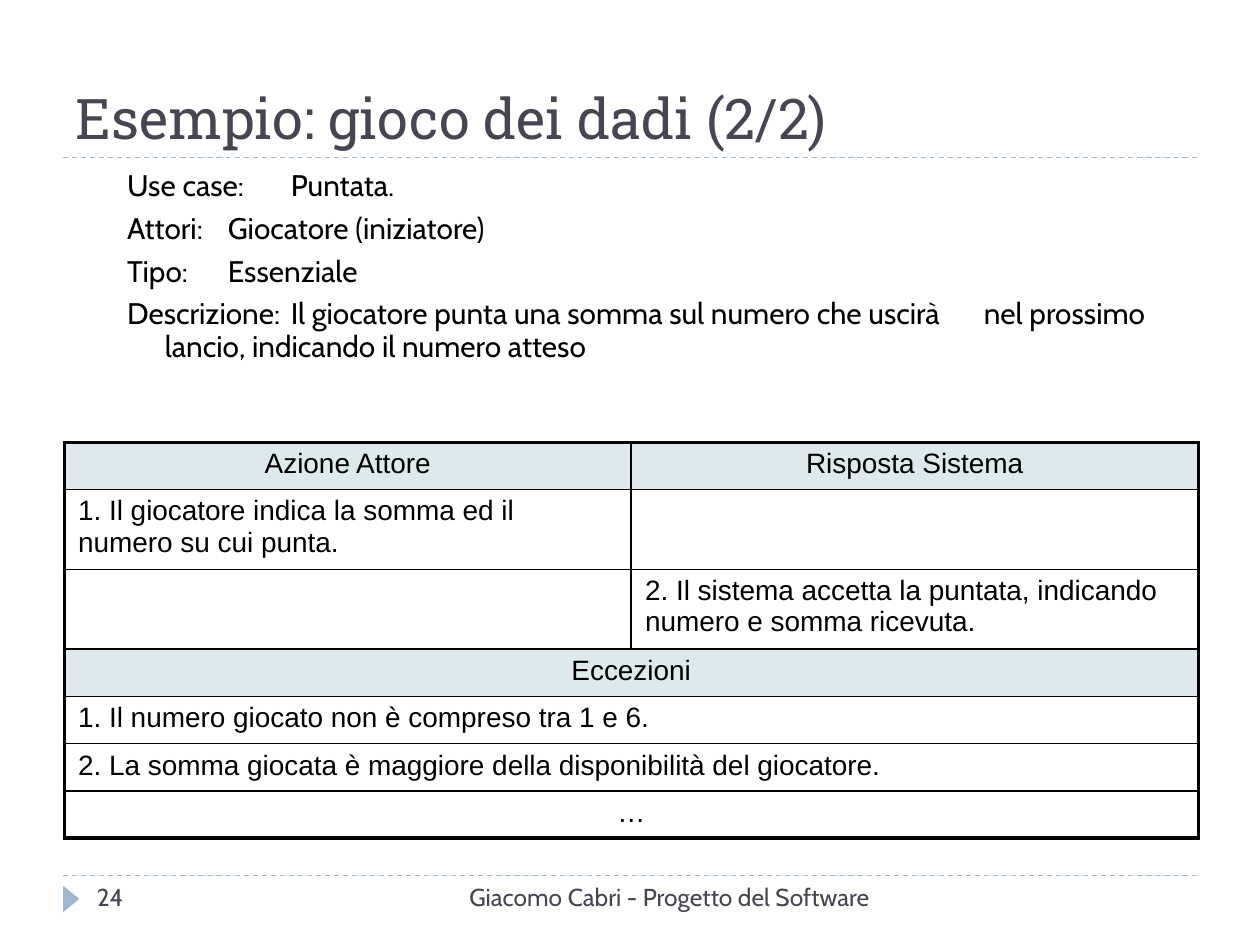
from lxml.etree import SubElement
from pptx import Presentation
from pptx.dml.color import RGBColor
from pptx.enum.dml import MSO_LINE
from pptx.enum.shapes import MSO_CONNECTOR, MSO_SHAPE
from pptx.enum.text import MSO_ANCHOR, PP_ALIGN
from pptx.oxml import parse_xml
from pptx.oxml.ns import nsdecls, qn
from pptx.util import Inches, Pt

COLORS = {"ink": "000000", "title": "464653", "accent": "9FB8CD",
          "head": "DDE9EC", "plain": "FFFFFF"}
TITLE = "Esempio: gioco dei dadi (2/2)"
FOOTER = "Giacomo Cabri - Progetto del Software"
NUMBER = "24"
DETAILS = [
    ("Use case:", "Puntata."),
    ("Attori:", "Giocatore (iniziatore)"),
    ("Tipo:", "Essenziale"),
    ("Descrizione:", "Il giocatore punta una somma sul numero che uscirà "
                     "\tnel prossimo lancio, indicando il numero atteso"),
]
# Each row: kind, height, texts; a single text spans both columns
ROWS = [
    ("head", 0.375, ["Azione Attore", "Risposta Sistema"]),
    ("plain", 0.59, ["1. Il giocatore indica la somma ed il\t numero su cui punta.", ""]),
    ("plain", 0.59, ["", "2. Il sistema accetta la puntata, indicando numero e somma ricevuta."]),
    ("head", 0.375, ["Eccezioni"]),
    ("plain", 0.375, ["1. Il numero giocato non è compreso tra 1 e 6.\t"]),
    ("plain", 0.375, ["2. La somma giocata è maggiore della disponibilità del giocatore."]),
    ("plain", 0.375, ["…"]),
]
CENTERED = {"Azione Attore", "Risposta Sistema", "Eccezioni", "…"}
COLS = 2
THICK, THIN = 2.25, 1


def color(name):
    return RGBColor.from_string(COLORS[name])


def write(para, text, size, font, ink, align=PP_ALIGN.LEFT):
    para.alignment = align
    run = para.add_run()
    run.text = text
    run.font.size = Pt(size)
    run.font.name = font
    run.font.color.rgb = color(ink)


def add_box(slide, *place):
    box = slide.shapes.add_textbox(*map(Inches, place))
    box.text_frame.word_wrap = True
    return box.text_frame


def add_rule(slide, y):
    rule = slide.shapes.add_connector(
        MSO_CONNECTOR.STRAIGHT, Inches(0.5), Inches(y), Inches(9.5), Inches(y))
    rule.line.color.rgb = color("accent")
    rule.line.width = Pt(0.75)
    rule.line.dash_style = MSO_LINE.DASH
    SubElement(rule._element.spPr, qn("a:effectLst"))


def add_borders(cell, widths):
    """Put the lines first in the cell properties, as the schema asks."""
    props = cell._tc.get_or_add_tcPr()
    for i, (side, width) in enumerate(zip("LRTB", widths)):
        props.insert(i, parse_xml(
            f'<a:ln{side} {nsdecls("a")} w="{Pt(width)}"><a:solidFill>'
            f'<a:srgbClr val="{COLORS["ink"]}"/></a:solidFill></a:ln{side}>'))


def add_steps(slide):
    height = sum(row[1] for row in ROWS)
    table = slide.shapes.add_table(
        len(ROWS), COLS, Inches(0.51), Inches(3.51), Inches(9), Inches(height)).table
    table.first_row = table.horz_banding = False
    for r, (kind, height, texts) in enumerate(ROWS):
        table.rows[r].height = Inches(height)
        whole = len(texts) == 1
        if whole:
            table.cell(r, 0).merge(table.cell(r, COLS - 1))
        for c in range(COLS):
            cell = table.cell(r, c)
            cell.fill.solid()
            cell.fill.fore_color.rgb = color(kind)
            cell.margin_left = cell.margin_right = Inches(0.11)
            edges = (whole or c == 0, whole or c == COLS - 1,
                     r == 0, r == len(ROWS) - 1)
            add_borders(cell, [THICK if edge else THIN for edge in edges])
        for c, text in enumerate(texts):
            if text:
                align = PP_ALIGN.CENTER if text in CENTERED else PP_ALIGN.LEFT
                write(table.cell(r, c).text_frame.paragraphs[0],
                      text, 16, "Arial", "ink", align)


def add_details(slide):
    frame = add_box(slide, 0.91, 1.31, 8.42, 2.14)
    for i, pair in enumerate(DETAILS):
        para = frame.add_paragraph() if i else frame.paragraphs[0]
        para.line_spacing = 0.9
        para.space_before = Pt(6)
        props = para._p.get_or_add_pPr()
        props.set("marL", str(Inches(0.3)))
        props.set("indent", str(Inches(-0.3)))
        write(para, "\t".join(pair), 17, "Cabin", "ink")


def add_title(slide):
    title = slide.shapes.title
    title.left, title.top, title.width, title.height = map(Inches, (0.5, 0.17, 9, 1.08))
    title.text_frame.vertical_anchor = MSO_ANCHOR.BOTTOM
    write(title.text_frame.paragraphs[0], TITLE, 32, "Roboto Slab", "title")


def add_footer(slide):
    mark = slide.shapes.add_shape(
        MSO_SHAPE.ISOSCELES_TRIANGLE, *map(Inches, (0.46, 7.07, 0.21, 0.13)))
    mark.rotation = 90
    mark.shadow.inherit = False
    mark.fill.solid()
    mark.fill.fore_color.rgb = color("accent")
    mark.line.fill.background()
    write(add_box(slide, 3.17, 6.95, 3.83, 0.4).paragraphs[0],
          FOOTER, 14, "Cabin", "title", PP_ALIGN.RIGHT)
    write(add_box(slide, 0.67, 6.95, 2.17, 0.4).paragraphs[0],
          NUMBER, 14, "Cabin", "title")


def main():
    deck = Presentation()
    deck.slide_width, deck.slide_height = Inches(10), Inches(7.5)
    slide = deck.slides.add_slide(deck.slide_layouts[5])
    for y in (6.95, 1.25):
        add_rule(slide, y)
    add_title(slide)
    add_footer(slide)
    add_steps(slide)
    add_details(slide)
    deck.save("out.pptx")


if __name__ == "__main__":
    main()
